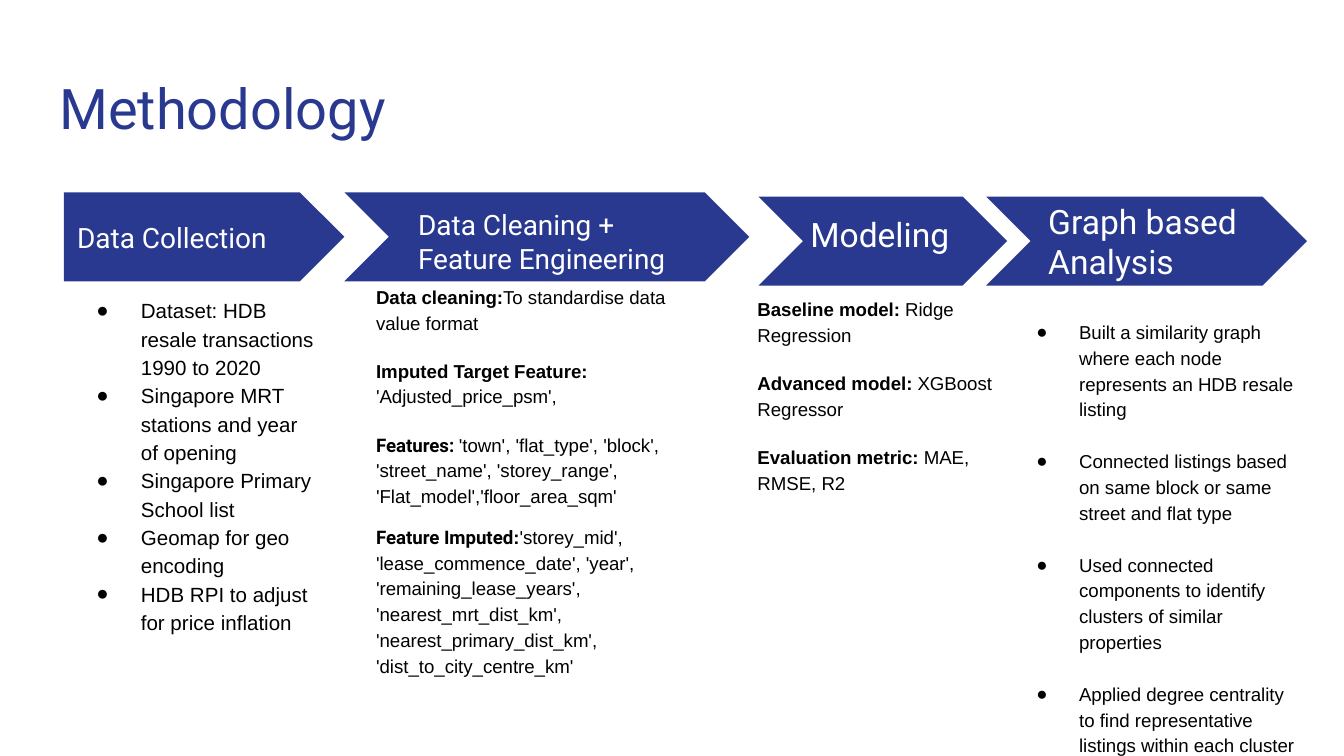
"""Build the Methodology slide: four process arrows with details below each."""
from lxml.etree import SubElement
from pptx import Presentation
from pptx.dml.color import RGBColor
from pptx.enum.shapes import MSO_SHAPE
from pptx.enum.text import MSO_ANCHOR, PP_ALIGN
from pptx.oxml.ns import qn
from pptx.util import Pt

PX = 5715
NAVY = RGBColor(0x2A, 0x39, 0x90)
WHITE = RGBColor(0xFF, 0xFF, 0xFF)
BLACK = RGBColor(0x00, 0x00, 0x00)

TITLE = {"name": "Roboto", "size": Pt(30), "color": NAVY}
HEADING = {"name": "Roboto", "size": Pt(15), "color": WHITE}
LARGE_HEADING = {**HEADING, "size": Pt(18)}
DETAIL = {"name": "Arial", "size": Pt(10), "color": BLACK}
LARGE_DETAIL = {**DETAIL, "size": Pt(11)}


def write(shape, paragraphs, style, anchor=MSO_ANCHOR.TOP, inset=16, spacing=1.0, gap=0, indent=0):
    """Fill a shape with paragraphs of (text, format overrides) spans."""
    frame = shape.text_frame
    frame_format = {"word_wrap": True, "vertical_anchor": anchor}
    frame_format.update({f"margin_{side}": inset * PX for side in ("left", "top", "right", "bottom")})
    for key, value in frame_format.items():
        setattr(frame, key, value)
    for index, spans in enumerate(paragraphs):
        para = frame.add_paragraph() if index else frame.paragraphs[0]
        para_format = {"alignment": PP_ALIGN.LEFT, "line_spacing": spacing, "space_before": Pt(gap if index else 0)}
        for key, value in para_format.items():
            setattr(para, key, value)
        if indent:
            properties = para._p.get_or_add_pPr()
            properties.set("marL", str(80 * PX))
            properties.set("indent", str(-indent * PX))
            bullet_color = SubElement(properties, qn("a:buClr"))
            SubElement(bullet_color, qn("a:srgbClr"), val=str(BLACK))
            SubElement(properties, qn("a:buFont"), typeface="Arial")
            SubElement(properties, qn("a:buChar"), char="●")
        for text, overrides in spans:
            span = para.add_run()
            span.text = text
            for key, value in {**style, "bold": False, **overrides}.items():
                if key == "color":
                    span.font.color.rgb = value
                else:
                    setattr(span.font, key, value)


def add_box(bounds, paragraphs, style, **layout):
    """Add a text box at the given px bounds."""
    box = page.shapes.add_textbox(*(length * PX for length in bounds))
    write(box, paragraphs, style, **layout)
    return box


deck = Presentation()
deck.slide_width, deck.slide_height = 1600 * PX, 900 * PX
page = deck.slides.add_slide(deck.slide_layouts[6])

add_box((55, 72, 1491, 106), [[("Methodology", {})]], TITLE)

arrows = []
for preset, left, top, width in (
    (MSO_SHAPE.PENTAGON, 76, 229, 334),
    (MSO_SHAPE.CHEVRON, 410, 229, 482),
    (MSO_SHAPE.CHEVRON, 903, 234, 296),
    (MSO_SHAPE.CHEVRON, 1174, 234, 382),
):
    arrow = page.shapes.add_shape(preset, left * PX, top * PX, width * PX, 106 * PX)
    arrow.adjustments[0] = 0.5
    arrow.shadow.inherit = False
    arrow.fill.solid()
    arrow.fill.fore_color.rgb = NAVY
    arrow.line.fill.background()
    arrows.append(arrow)

for bounds, heading, style in (
    ((76, 255, 395, 54), "Data Collection", HEADING),
    ((482, 255, 350, 64), "Data Cleaning + Feature Engineering", HEADING),
    ((949, 247, 226, 64), "Modeling", LARGE_HEADING),
):
    add_box(bounds, [[(heading, {})]], style, anchor=MSO_ANCHOR.MIDDLE)
write(arrows[-1], [[("Graph based Analysis", {})]], LARGE_HEADING, anchor=MSO_ANCHOR.MIDDLE, inset=21)

sources = (
    "Dataset: HDB resale transactions 1990 to 2020",
    "Singapore MRT stations and year of opening",
    "Singapore Primary School list",
    "Geomap for geo encoding",
    "HDB RPI to adjust for price inflation",
)
graph_steps = (
    "Built a similarity graph where each node represents an HDB resale listing",
    "Connected listings based on same block or same street and flat type",
    "Used connected components to identify clusters of similar properties",
    "Applied degree centrality to find representative listings within each cluster",
)
for bounds, items, style, gap, indent in (
    ((72, 335, 320, 464), sources, LARGE_DETAIL, 0, 53),
    ((1189, 362, 368, 530), graph_steps, DETAIL, 14, 51),
):
    add_box(bounds, [[(item, {})] for item in items], style, spacing=1.15, gap=gap, indent=indent)

BOLD = {"bold": True}
BOLD_ROBOTO = {"bold": True, "name": "Roboto"}
features = [
    [("Data cleaning:", BOLD), ("To standardise data value format", {})],
    [("Imputed Target Feature: ", BOLD), ("'Adjusted_price_psm',", {})],
    [
        ("Features: ", BOLD_ROBOTO),
        ("'town', 'flat_type', 'block', 'street_name', 'storey_range', 'Flat_model','floor_area_sqm'", {}),
    ],
    [
        ("Feature Imputed", BOLD_ROBOTO),
        (":", BOLD),
        (
            "'storey_mid', 'lease_commence_date', 'year', 'remaining_lease_years', "
            "'nearest_mrt_dist_km', 'nearest_primary_dist_km', 'dist_to_city_centre_km'",
            {},
        ),
    ],
]
models = [
    [("Baseline model: ", BOLD), ("Ridge Regression", {})],
    [("Advanced model: ", BOLD), ("XGBoost Regressor", {})],
    [("Evaluation metric: ", BOLD), ("MAE, RMSE, R2", {})],
]
feature_box = add_box((432, 320, 430, 261), features, DETAIL, spacing=1.15, gap=12)
feature_box.text_frame.paragraphs[-1].space_before = Pt(8)
add_box((886, 335, 314, 464), models, DETAIL, spacing=1.15, gap=12)

deck.save("out.pptx")
